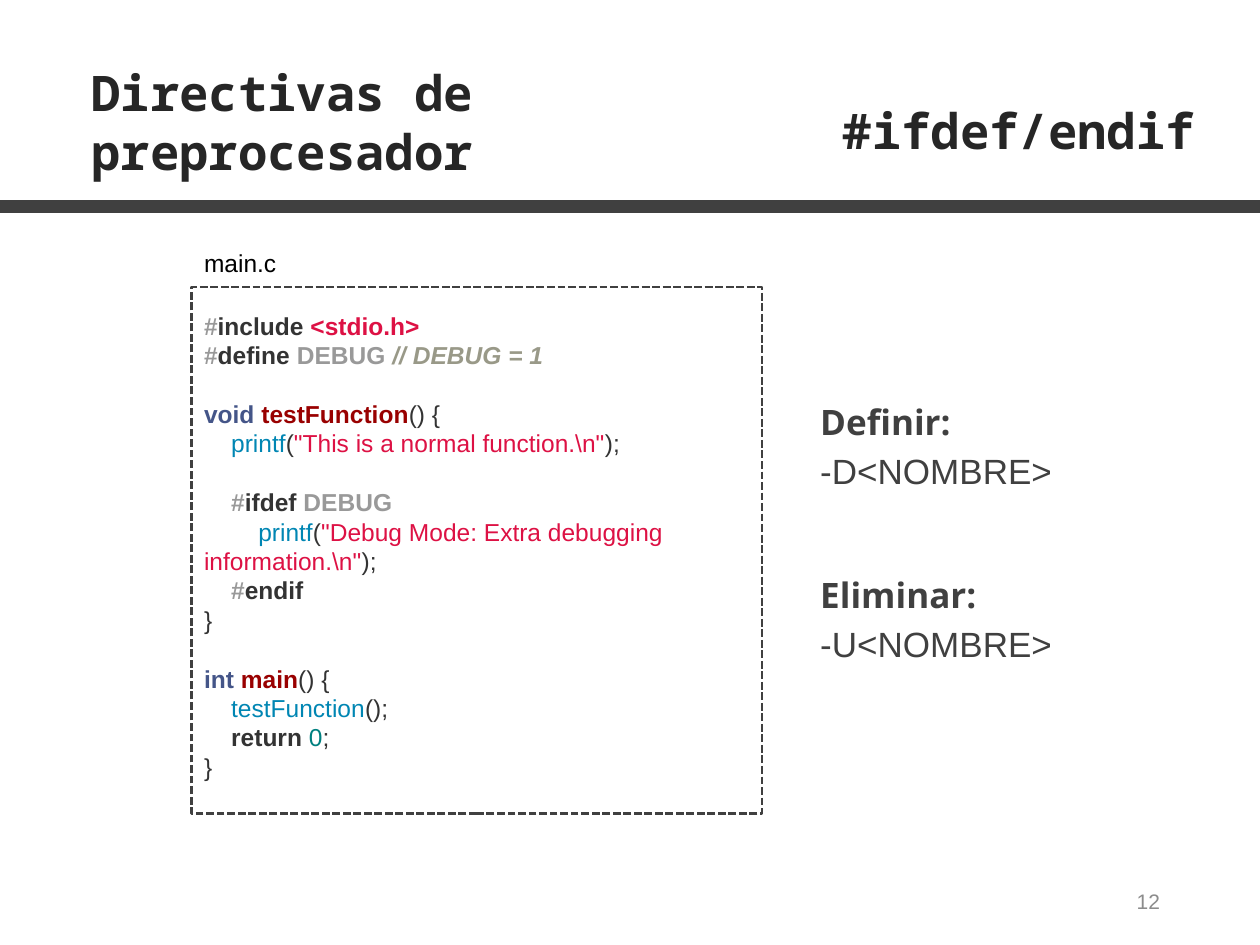
from lxml import etree
from pptx import Presentation
from pptx.dml.color import RGBColor
from pptx.enum import dml, shapes, text
from pptx.oxml import ns
from pptx.util import Pt

COLORS = {
    "title": "262626", "dark": "404040", "black": "000000", "page": "8C8C8C",
    "plain": "333333", "macro": "999999", "comment": "999988", "string": "DD1144",
    "type": "445588", "name": "990000", "call": "0086B3", "number": "008080",
}
SANS, HEADING, MONO = "Arial", "Noto Sans", "Noto Sans Mono"
LINE_RATIO = 1.2
CODE_SIZE = 14
INDENT = 15.5  # one code level

# Each code line: level, blank lines before, then (text, colour, style) tokens
CODE = [
    (0, 0, [("#", "macro", "b"), ("include ", "plain", "b"), ("<stdio.h>", "string", "b")]),
    (0, 0, [("#", "macro", "b"), ("define", "plain", "b"), (" DEBUG ", "macro", "b"),
            ("// DEBUG = 1", "comment", "bi")]),
    (0, 1, [("void ", "type", "b"), ("testFunction", "name", "b"), ("() {", "plain", "")]),
    (1, 0, [("printf", "call", ""), ("(", "plain", ""),
            ('"This is a normal function.\\n"', "string", ""), (");", "plain", "")]),
    (1, 1, [("#", "macro", "b"), ("ifdef", "plain", "b"), (" DEBUG", "macro", "b")]),
    (2, 0, [("printf", "call", ""), ("(", "plain", ""),
            ('"Debug Mode: Extra debugging information.\\n"', "string", ""),
            (");", "plain", "")]),
    (1, 0, [("#", "macro", "b"), ("endif", "plain", "b")]),
    (0, 0, [("}", "plain", "")]),
    (0, 1, [("int ", "type", "b"), ("main", "name", "b"), ("() {", "plain", "")]),
    (1, 0, [("testFunction", "call", ""), ("();", "plain", "")]),
    (1, 0, [("return ", "plain", "b"), ("0", "number", ""), (";", "plain", "")]),
    (0, 0, [("}", "plain", "")]),
]
FLAGS = [("Definir:", "-D<NOMBRE>"), ("Eliminar:", "-U<NOMBRE>")]


def color(name):
    return RGBColor.from_string(COLORS[name])


def place(shape, box):
    shape.left, shape.top, shape.width, shape.height = map(Pt, box)


def prepare_frame(shape, anchor=text.MSO_ANCHOR.TOP):
    frame = shape.text_frame
    frame.word_wrap = True
    frame.auto_size = text.MSO_AUTO_SIZE.NONE
    frame.vertical_anchor = anchor
    return frame


def add_text_box(slide, box, anchor=text.MSO_ANCHOR.TOP):
    return prepare_frame(slide.shapes.add_textbox(*map(Pt, box)), anchor)


def next_paragraph(frame, first):
    return frame.paragraphs[0] if first else frame.add_paragraph()


def format_paragraph(paragraph, line, before=0, align=text.PP_ALIGN.LEFT):
    paragraph.alignment = align
    paragraph.line_spacing = Pt(line)
    paragraph.space_before = Pt(before)


def add_run(paragraph, words, size, font, fill, style=""):
    run = paragraph.add_run()
    run.text = words
    run.font.size = Pt(size)
    run.font.name = font
    run.font.bold = "b" in style
    run.font.italic = "i" in style
    run.font.color.rgb = color(fill)


def add_label(frame, words, size, font, fill, style="", align=text.PP_ALIGN.LEFT):
    paragraph = frame.paragraphs[0]
    format_paragraph(paragraph, size * LINE_RATIO, align=align)
    add_run(paragraph, words, size, font, fill, style)


def add_rectangle(slide, box, line_width):
    shape = slide.shapes.add_shape(shapes.MSO_SHAPE.RECTANGLE, *map(Pt, box))
    shape.shadow.inherit = False
    shape.line.color.rgb = color("dark")
    shape.line.width = Pt(line_width)
    return shape


def build_header(slide, box):
    left, top, width, height = box
    # Title and topic
    title = slide.shapes.title
    place(title, (left + 45, top + 32, 405, 75))
    add_label(prepare_frame(title), "Directivas de preprocesador", 28, MONO, "title", "b")
    topic = add_text_box(slide, (left + 446, top + 54, 244, 41))
    add_label(topic, "#ifdef/endif", 28, MONO, "title", "b", text.PP_ALIGN.RIGHT)
    # Rule across the slide
    rule = add_rectangle(slide, (left - 27, top + height - 6.5, width + 39, 6.5), 1)
    rule.fill.solid()
    rule.fill.fore_color.rgb = color("dark")


def build_code(slide, box):
    left, top, width, height = box
    # File name and dashed frame
    add_label(add_text_box(slide, (left, top - 26, 120, 24)),
              "main.c", CODE_SIZE, SANS, "black")
    border = add_rectangle(slide, box, 1.5)
    border.fill.background()
    border.line.dash_style = dml.MSO_LINE.SQUARE_DOT
    # Listing
    line = CODE_SIZE * LINE_RATIO
    frame = add_text_box(slide, (left, top + 10, width, height - 18))
    for index, (level, blanks, tokens) in enumerate(CODE):
        paragraph = next_paragraph(frame, index == 0)
        format_paragraph(paragraph, line, blanks * line)
        paragraph._p.get_or_add_pPr().set("indent", str(Pt(level * INDENT)))
        for words, fill, style in tokens:
            add_run(paragraph, words, CODE_SIZE, SANS, fill, style)


def build_flags(slide, box):
    body = slide.placeholders[1]
    place(body, box)
    frame = prepare_frame(body)
    for index, (heading, flag) in enumerate(FLAGS):
        rows = [(heading, HEADING, "b", 43 * index), (flag, SANS, "", 0)]
        for words, font, style, before in rows:
            paragraph = next_paragraph(frame, index == 0 and words == heading)
            format_paragraph(paragraph, 28, before)
            properties = paragraph._p.get_or_add_pPr()
            properties.set("marL", "0")
            properties.set("indent", "0")
            etree.SubElement(properties, ns.qn("a:buNone"))
            add_run(paragraph, words, 20, font, "dark", style)


def build_page_number(slide, box):
    frame = add_text_box(slide, box, text.MSO_ANCHOR.MIDDLE)
    add_label(frame, "12", 12, SANS, "page", align=text.PP_ALIGN.RIGHT)


def main():
    presentation = Presentation()
    presentation.slide_width, presentation.slide_height = Pt(720), Pt(540)
    slide = presentation.slides.add_slide(presentation.slide_layouts[1])
    build_header(slide, (0, 0, 720, 121.5))
    build_code(slide, (109.5, 164, 326, 301))
    build_flags(slide, (461.5, 221, 171, 164))
    build_page_number(slide, (508, 500.5, 162, 29))
    presentation.save("out.pptx")


if __name__ == "__main__":
    main()
